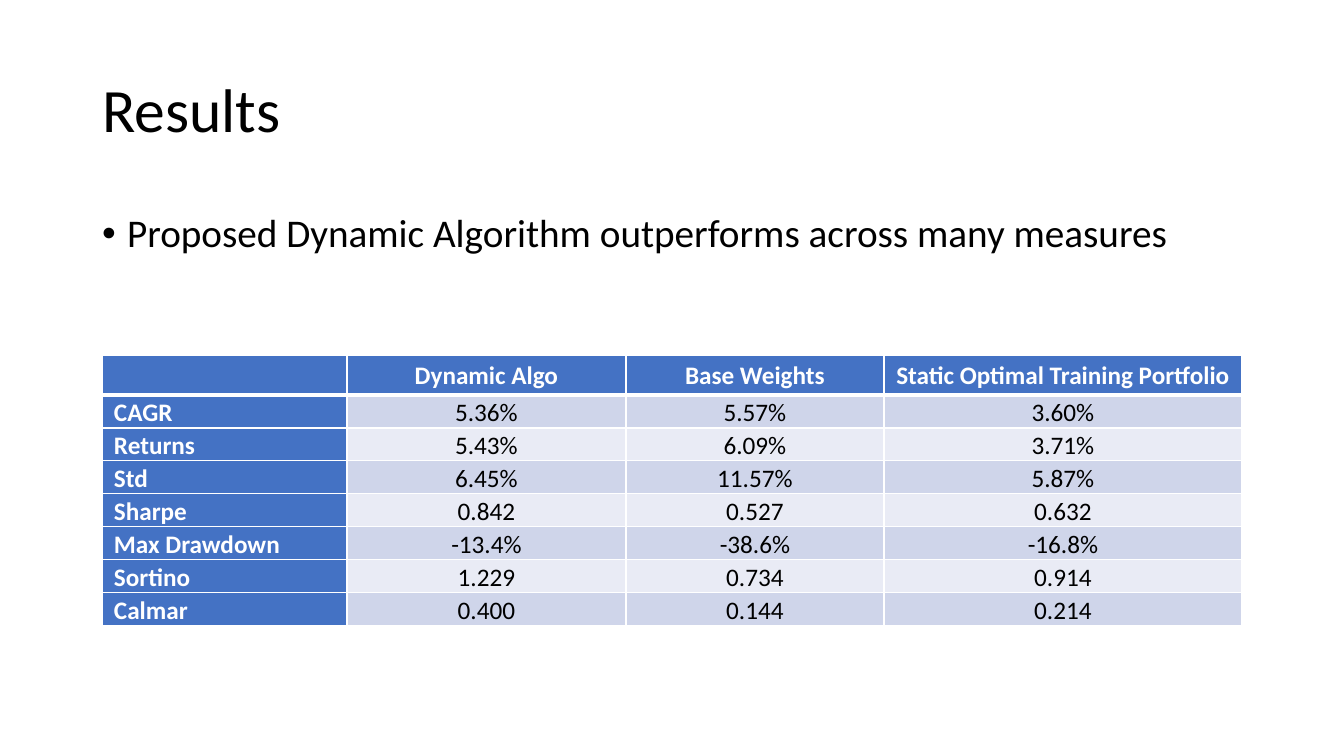
from lxml.etree import SubElement
from pptx import Presentation
from pptx.dml.color import RGBColor
from pptx.enum.text import MSO_ANCHOR as Anchor, MSO_AUTO_SIZE as AutoSize, PP_ALIGN as Align
from pptx.oxml.ns import qn
from pptx.util import Emu, Pt

SLIDE_W, SLIDE_H = 1344, 756
EMU_PER_PX = 12192000 / SLIDE_W

BLACK, WHITE, BLUE = "000000", "FFFFFF", "4472C4"
BANDS = ("CFD5EA", "E9EBF5")

MEASURES = [
    ("", "Dynamic Algo", "Base Weights", "Static Optimal Training Portfolio"),
    ("CAGR", "5.36%", "5.57%", "3.60%"),
    ("Returns", "5.43%", "6.09%", "3.71%"),
    ("Std", "6.45%", "11.57%", "5.87%"),
    ("Sharpe", "0.842", "0.527", "0.632"),
    ("Max Drawdown", "-13.4%", "-38.6%", "-16.8%"),
    ("Sortino", "1.229", "0.734", "0.914"),
    ("Calmar", "0.400", "0.144", "0.214"),
]
COLUMN_WIDTHS = (245, 279, 258, 358)
HEADER_HEIGHT, ROW_HEIGHT = 40, 33


def px(length):
    return Emu(round(length * EMU_PER_PX))


def rgb(colour):
    return RGBColor.from_string(colour)


def write(frame, text, *, size, colour=BLACK, bold=False, align=Align.LEFT,
          spacing=0.9, before=0, font="Calibri"):
    paragraph = frame.paragraphs[0]
    paragraph.alignment = align
    paragraph.line_spacing = spacing
    paragraph.space_before = Pt(before)
    run = paragraph.add_run()
    run.text = text
    run.font.name = font
    run.font.size = Pt(size)
    run.font.bold = bold
    run.font.color.rgb = rgb(colour)
    return paragraph


class SlideBuilder:
    def __init__(self, deck):
        self.slide = deck.slides.add_slide(deck.slide_layouts[1])

    def placeholder(self, index, left, top, width, height, anchor):
        holder = self.slide.placeholders[index]
        holder.left, holder.top = px(left), px(top)
        holder.width, holder.height = px(width), px(height)
        frame = holder.text_frame
        frame.word_wrap = True
        frame.auto_size = AutoSize.NONE
        frame.vertical_anchor = anchor
        return frame

    def title(self, text, *box):
        write(self.placeholder(0, *box, Anchor.MIDDLE), text, size=44)

    def bullet(self, text, *box):
        frame = self.placeholder(1, *box, Anchor.TOP)
        properties = write(frame, text, size=28, before=10)._p.get_or_add_pPr()
        indent = px(25)
        properties.set("marL", str(indent))
        properties.set("indent", str(-indent))
        SubElement(properties, qn("a:buFont"), typeface="Arial")
        SubElement(properties, qn("a:buChar"), char="•")

    def table(self, rows, widths, left, top):
        heights = [HEADER_HEIGHT] + [ROW_HEIGHT] * (len(rows) - 1)
        table = self.slide.shapes.add_table(
            len(rows), len(widths), px(left), px(top), px(sum(widths)), px(sum(heights))).table
        for column, width in zip(table.columns, widths):
            column.width = px(width)
        for r, (values, height) in enumerate(zip(rows, heights)):
            table.rows[r].height = px(height)
            for c, value in enumerate(values):
                self.cell(table.cell(r, c), value, r, c)

    def cell(self, cell, value, row, column):
        heading = row == 0 or column == 0
        cell.margin_left = cell.margin_right = px(12)
        cell.margin_top = cell.margin_bottom = 0
        cell.vertical_anchor = Anchor.BOTTOM if row else Anchor.MIDDLE
        # Thick rule under the header, thin rules elsewhere
        self.borders(cell, L=1, R=1, T=3 if row == 1 else 1, B=1 if row else 3)
        cell.fill.solid()
        cell.fill.fore_color.rgb = rgb(BLUE if heading else BANDS[(row - 1) % 2])
        if value:
            write(cell.text_frame, value, size=18, colour=WHITE if heading else BLACK,
                  bold=heading, align=Align.CENTER if column else Align.LEFT, spacing=1.07)

    def borders(self, cell, **widths):
        properties = cell._tc.get_or_add_tcPr()
        for side, width in widths.items():
            line = SubElement(properties, qn(f"a:ln{side}"), w=str(Pt(width)))
            SubElement(SubElement(line, qn("a:solidFill")), qn("a:srgbClr"), val=WHITE)


def main():
    deck = Presentation()
    deck.slide_width, deck.slide_height = px(SLIDE_W), px(SLIDE_H)
    results = SlideBuilder(deck)

    # Heading and main finding
    results.title("Results", 92, 40, 1159, 146)
    results.bullet("Proposed Dynamic Algorithm outperforms across many measures",
                   92, 209, 1140, 480)

    # Performance by strategy
    results.table(MEASURES, COLUMN_WIDTHS, 102, 355)

    deck.save("out.pptx")


if __name__ == "__main__":
    main()
